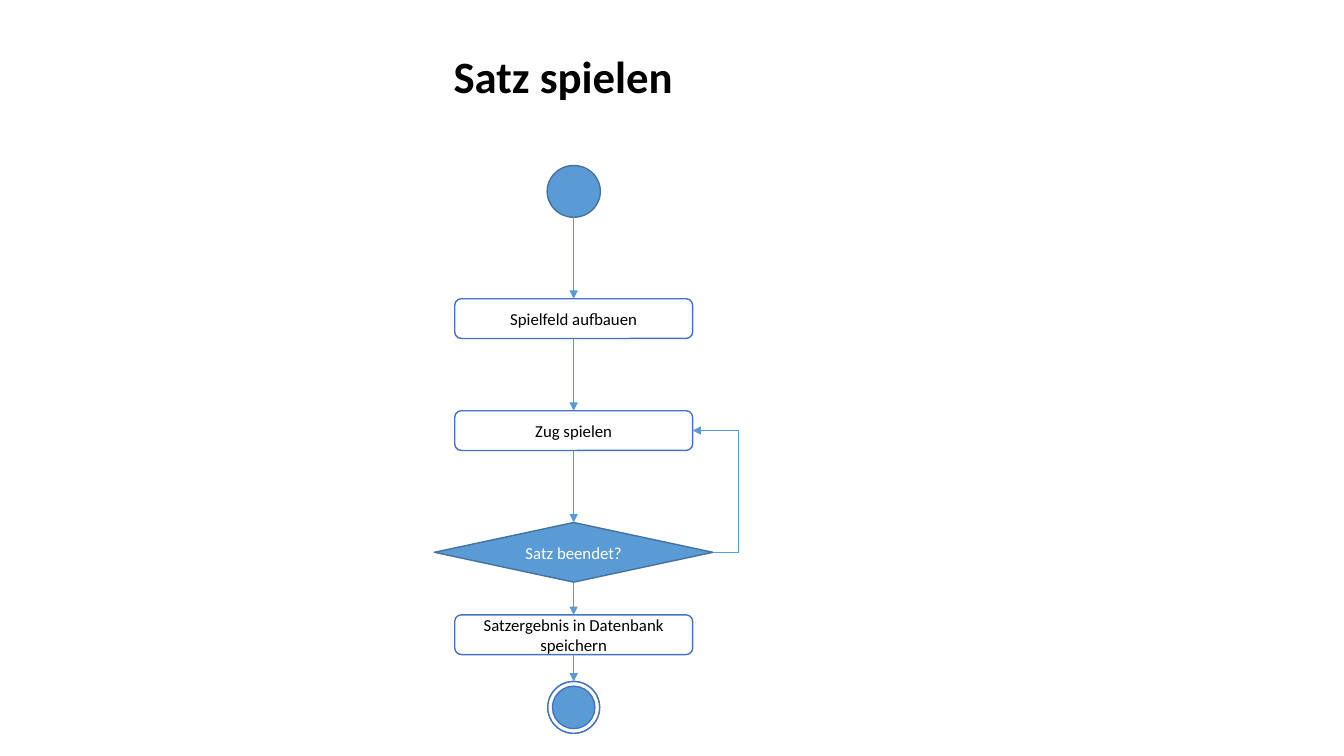
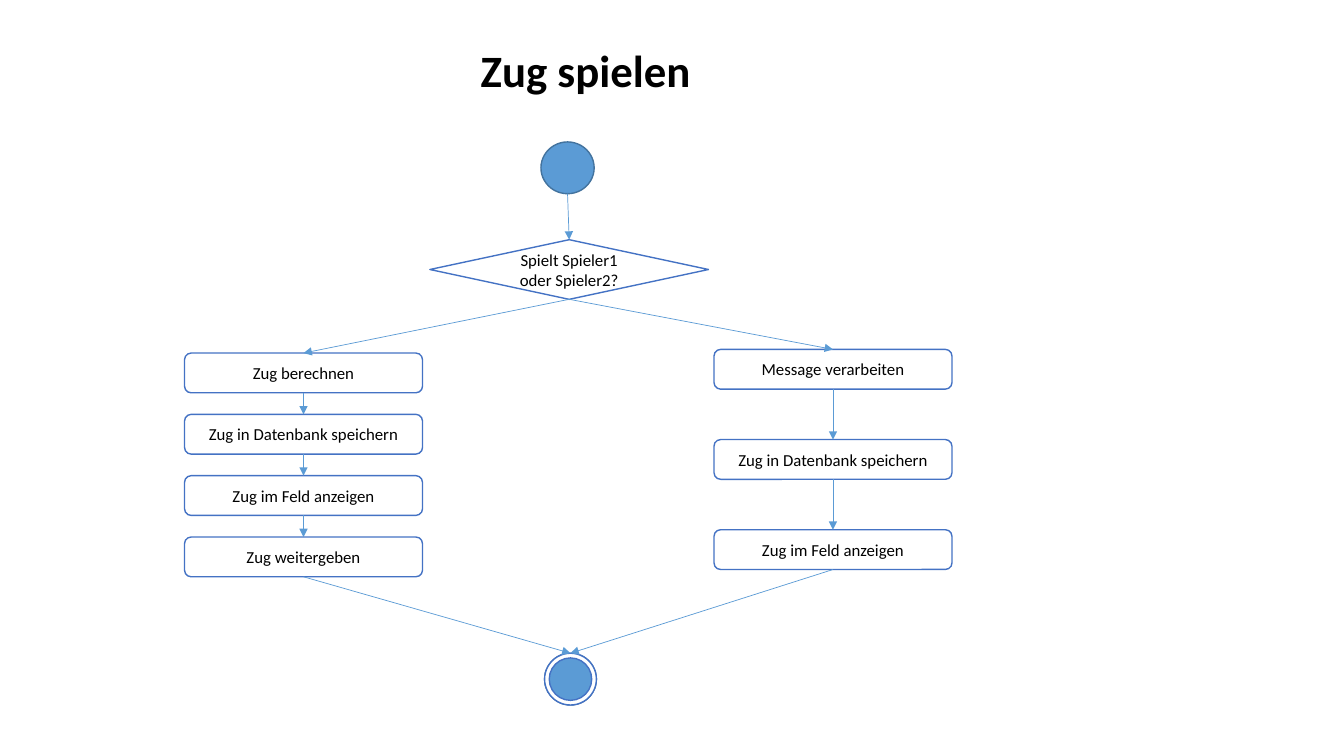
from itertools import pairwise

from pptx import Presentation
from pptx.dml.color import RGBColor
from pptx.enum.shapes import MSO_CONNECTOR as CONN, MSO_SHAPE as SHAPE
from pptx.enum.text import MSO_ANCHOR as ANCHOR, MSO_AUTO_SIZE as AUTO, PP_ALIGN as ALIGN
from pptx.oxml.ns import qn
from pptx.util import Pt
from lxml.etree import SubElement

FONT = "Calibri"
BLUE, DARK, EDGE = "5B9BD5", "43739E", "4472C4"
WHITE, BLACK = "FFFFFF", "000000"
TITLE_SIZE = (604.8, 46)
LOOP_OUT = 18

KINDS = {
    "start": (SHAPE.OVAL, 38, 37, BLUE, DARK, WHITE),
    "end": (SHAPE.OVAL, 37, 37, BLUE, DARK, WHITE),
    "ring": (SHAPE.DONUT, 37, 37, WHITE, EDGE, BLACK),
    "step": (SHAPE.ROUNDED_RECTANGLE, 170, 28.4, WHITE, EDGE, BLACK),
    "question": (SHAPE.DIAMOND, 199, 42.6, WHITE, EDGE, BLACK),
    "filled question": (SHAPE.DIAMOND, 199, 42.6, BLUE, DARK, WHITE),
}

SET_TITLE = ("Satz spielen", 100, 31)
SET_X = 409.8
SET_NODES = [
    ("start", 118.2, ""),
    ("step", 213.4, "Spielfeld aufbauen"),
    ("step", 293.4, "Zug spielen"),
    ("filled question", 373.2, "Satz beendet?"),
    ("step", 439.2, "Satzergebnis in Datenbank speichern"),
    ("end", 486.8, ""),
]

MOVE_TITLE = ("Zug spielen", 116, 27)
MOVE_START = ("start", 405.4, 101.4)
MOVE_QUESTION = ("question", 406.6, 171.2, "Spielt Spieler1 oder Spieler2?")
MOVE_END = ("end", 407.5, 466.6)
MOVE_BRANCHES = [
    (216.8, 252.2, 43.8, ["Zug berechnen", "Zug in Datenbank speichern",
                          "Zug im Feld anzeigen", "Zug weitergeben"]),
    (595, 249.6, 64.4, ["Message verarbeiten", "Zug in Datenbank speichern",
                        "Zug im Feld anzeigen"]),
]


def rgb(value):
    return RGBColor.from_string(value)


def format_text(tf, size, color, bold=False):
    for p in tf.paragraphs:
        p.alignment = ALIGN.CENTER
        for r in p.runs:
            r.font.name = FONT
            r.font.size = Pt(size)
            r.font.bold = bold
            r.font.color.rgb = rgb(color)


def add_slide(prs, text, left, top):
    s = prs.slides.add_slide(prs.slide_layouts[5])
    title = s.shapes.title
    title.left, title.top = Pt(left), Pt(top)
    title.width, title.height = map(Pt, TITLE_SIZE)
    tf = title.text_frame
    tf.text = text
    tf.auto_size = AUTO.NONE
    tf.vertical_anchor = ANCHOR.MIDDLE
    format_text(tf, 32, BLACK, bold=True)
    return s


def add_node(s, kind, x, top, text=""):
    preset, width, height, fill, line, color = KINDS[kind]
    sp = s.shapes.add_shape(preset, Pt(x - width / 2), Pt(top), Pt(width), Pt(height))
    sp.shadow.inherit = False
    sp.fill.solid()
    sp.fill.fore_color.rgb = rgb(fill)
    sp.line.color.rgb = rgb(line)
    sp.line.width = Pt(1)
    if text:
        tf = sp.text_frame
        tf.text = text
        tf.word_wrap = True
        tf.vertical_anchor = ANCHOR.MIDDLE
        format_text(tf, 12, color)
    if kind == "end":
        ring = add_node(s, "ring", x, top)
        ring.adjustments[0] = 0.09
        return ring
    return sp


def add_arrow(s, kind, x1, y1, x2, y2):
    line = s.shapes.add_connector(kind, x1, y1, x2, y2)
    line.line.color.rgb = rgb(BLUE)
    line.line.width = Pt(0.5)
    props = line._element.spPr
    SubElement(props.find(qn("a:ln")), qn("a:tailEnd"), type="triangle")
    SubElement(props, qn("a:effectLst"))
    return line


def link(s, upper, lower):
    line = add_arrow(s, CONN.STRAIGHT, upper.left + upper.width // 2, upper.top + upper.height,
                     lower.left + lower.width // 2, lower.top)
    if upper.auto_shape_type != SHAPE.OVAL:
        line.begin_connect(upper, 2)
    line.end_connect(lower, 0)


def link_chain(s, nodes):
    for upper, lower in pairwise(nodes):
        link(s, upper, lower)


def loop_back(s, source, target):
    x1, x2 = (sp.left + sp.width for sp in (source, target))
    y1, y2 = (sp.top + sp.height // 2 for sp in (source, target))
    line = add_arrow(s, CONN.ELBOW, x1, y1, x2, y2)
    guides = line._element.spPr.find(qn("a:prstGeom")).get_or_add_avLst()
    bend = round(-100000 * Pt(LOOP_OUT) / (x1 - x2))
    SubElement(guides, qn("a:gd"), name="adj1", fmla=f"val {bend}")


def build_set(prs):
    s = add_slide(prs, *SET_TITLE)
    nodes = [add_node(s, kind, SET_X, top, text) for kind, top, text in SET_NODES]
    link_chain(s, nodes)
    loop_back(s, nodes[3], nodes[2])


def build_move(prs):
    s = add_slide(prs, *MOVE_TITLE)
    start, question, end = (add_node(s, *node) for node in (MOVE_START, MOVE_QUESTION, MOVE_END))
    link(s, start, question)
    for x, top, pitch, texts in MOVE_BRANCHES:
        steps = [add_node(s, "step", x, top + i * pitch, text) for i, text in enumerate(texts)]
        link_chain(s, [question, *steps, end])


def main():
    prs = Presentation()
    prs.slide_width, prs.slide_height = Pt(960), Pt(540)
    build_set(prs)
    build_move(prs)
    prs.save("out.pptx")


if __name__ == "__main__":
    main()
